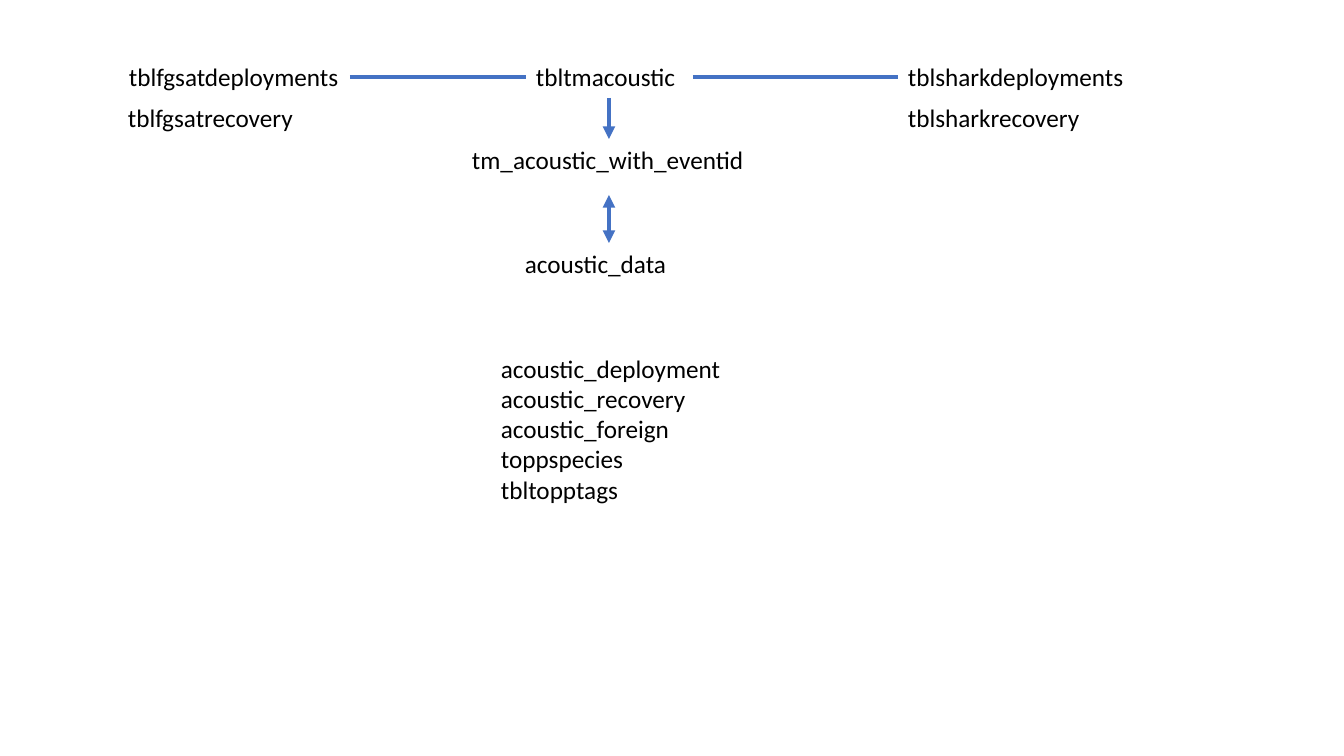
from lxml import etree
from pptx import Presentation
from pptx import util as u
from pptx.dml.color import RGBColor
from pptx.enum import shapes, text
from pptx.oxml.ns import qn

EMU_PER_PX = 914400 / 100.8
BLACK = RGBColor(0x00, 0x00, 0x00)
BLUE = RGBColor(0x44, 0x72, 0xC4)


def px(length):
    return u.Emu(round(length * EMU_PER_PX))


class Diagram:
    """Holds the style and the slide being drawn."""

    font_name = "Calibri"
    font_size = u.Pt(18)
    line_width = u.Pt(3)

    def __init__(self, slide):
        self.slide = slide

    def label(self, left, top, width, *lines, height=40, wrap=True):
        box = self.slide.shapes.add_textbox(px(left), px(top), px(width), px(height))
        frame = box.text_frame
        frame.word_wrap = wrap
        frame.auto_size = text.MSO_AUTO_SIZE.SHAPE_TO_FIT_TEXT
        frame.text = "\n".join(lines)
        for paragraph in frame.paragraphs:
            paragraph.font.name = self.font_name
            paragraph.font.size = self.font_size
            paragraph.font.color.rgb = BLACK

    def link(self, x1, y1, x2, y2, arrow_ends=()):
        """Draw a line; arrow_ends may hold "headEnd" and "tailEnd", in that order."""
        connector = self.slide.shapes.add_connector(
            shapes.MSO_CONNECTOR.STRAIGHT, px(x1), px(y1), px(x2), px(y2))
        connector.line.color.rgb = BLUE
        connector.line.width = self.line_width
        outline = connector.line._get_or_add_ln()
        for end in arrow_ends:
            etree.SubElement(outline, qn(f"a:{end}"), type="triangle")
        etree.SubElement(connector._element.spPr, qn("a:effectLst"))


def main():
    deck = Presentation()
    deck.slide_width, deck.slide_height = px(1344), px(756)
    diagram = Diagram(deck.slides.add_slide(deck.slide_layouts[6]))

    # Source tables
    source_y, recovery_y, link_y = 56, 97, 77
    shark_x, flow_x = 898, 609
    diagram.label(119, source_y, 231, "tblfgsatdeployments")
    diagram.label(shark_x, source_y, 248, "tblsharkdeployments")
    diagram.label(118, recovery_y, 267, "tblfgsatrecovery")
    diagram.label(shark_x, recovery_y, 272, "tblsharkrecovery")
    diagram.label(526, source_y, 167, "tbltmacoustic", wrap=False)
    diagram.link(350, link_y, 526, link_y)
    diagram.link(693, link_y, shark_x, link_y)

    # Acoustic flow
    event_y, data_y = 139, 243
    diagram.link(flow_x, 98, flow_x, event_y, ["tailEnd"])
    diagram.label(462, event_y, 296, "tm_acoustic_with_eventid")
    diagram.link(flow_x, 195, flow_x, data_y, ["headEnd", "tailEnd"])
    diagram.label(515, data_y, 188, "acoustic_data", height=41)

    # Other tables
    diagram.label(491, 348, 266, "acoustic_deployment", "acoustic_recovery",
                  "acoustic_foreign", "toppspecies", "tbltopptags", height=163)

    deck.save("out.pptx")


if __name__ == "__main__":
    main()
